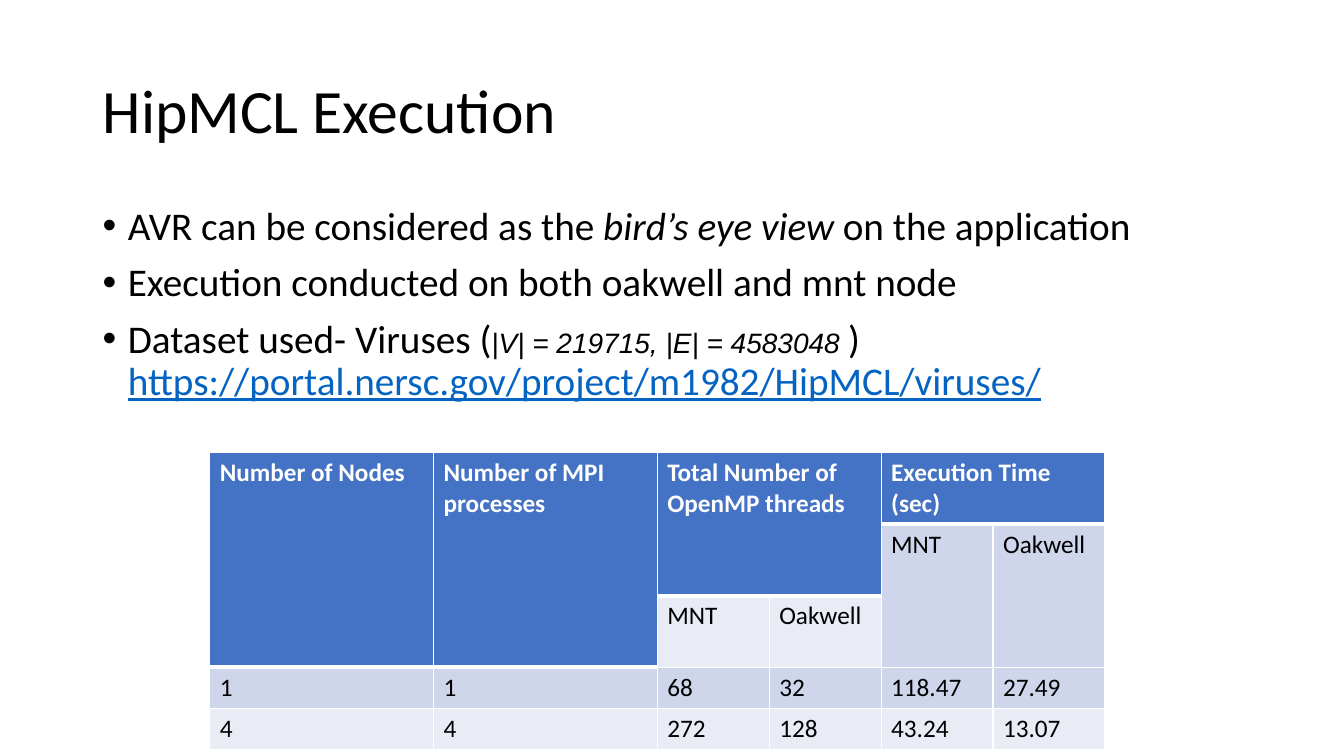
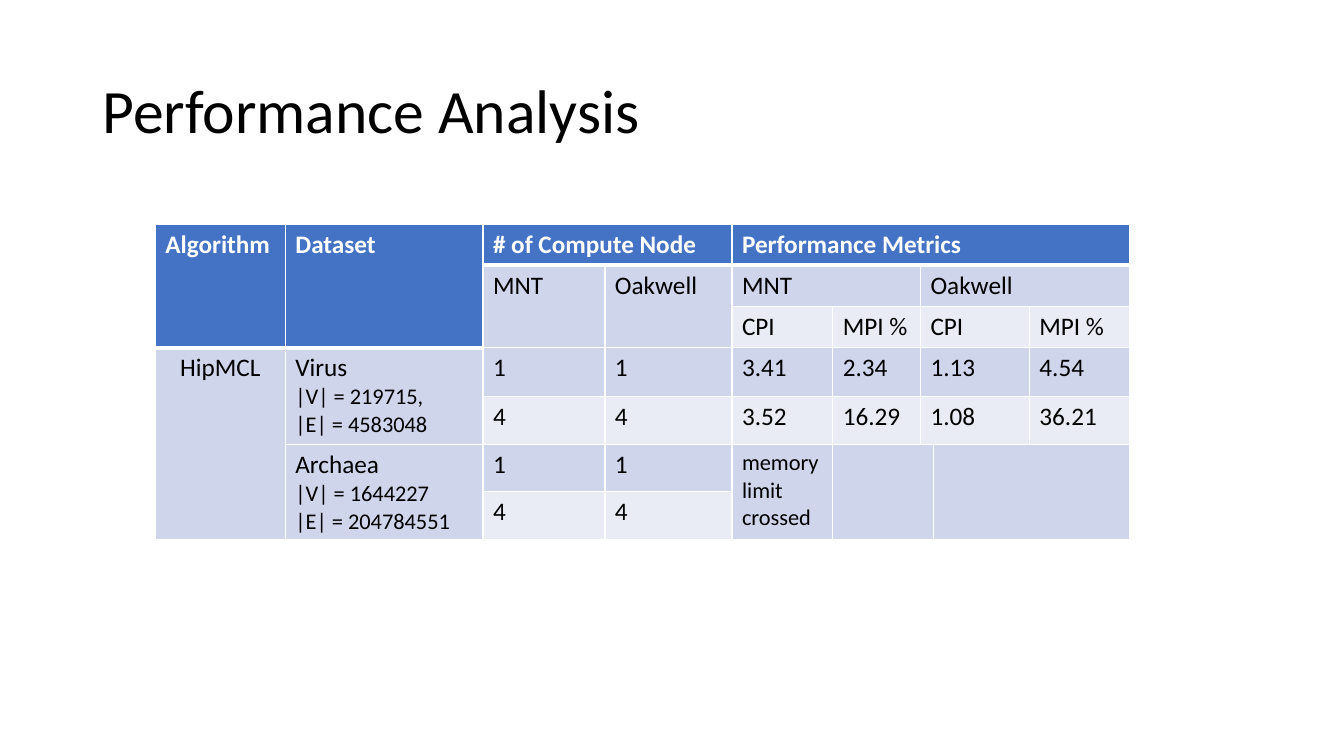
from lxml import etree
from pptx import Presentation
from pptx.dml.color import RGBColor
from pptx.enum.text import MSO_ANCHOR, PP_ALIGN
from pptx.oxml.ns import qn
from pptx.util import Inches, Pt

MIDDLE = MSO_ANCHOR.MIDDLE
CENTER = PP_ALIGN.CENTER
LEFT = PP_ALIGN.LEFT

THEME = {
    "ink": "000000", "paper": "FFFFFF", "head": "4472C4", "link": "0563C1",
    "bands": ("E9EBF5", "CFD5EA"),
    "font": "Calibri", "math": "Arial",
    "title": 44, "body": 28, "formula": 20, "cell": 18, "small": 16,
    "rule": 1, "thick": 3,
}

BULLETS = [
    [("AVR can be considered as the ", "plain"),
     ("bird’s eye view", "stress"),
     (" on the application", "plain")],
    [("Execution conducted on both oakwell and mnt node", "plain")],
    [("Dataset used- Viruses (", "plain"),
     ("|V| = 219715, |E| = 4583048 ", "formula"),
     (") ", "plain"),
     ("https://portal.nersc.gov/project/m1982/HipMCL/viruses/", "link")],
]
STYLES = {
    "plain": {},
    "stress": {"italic": True},
    "formula": {"size": THEME["formula"], "name": THEME["math"], "italic": True},
    "link": {"color": THEME["link"], "underline": True},
}

UP, BACK = "^", "<"
TIMES = {
    "at": (2.08, 4.49),
    "cols": [2.22] * 2 + [1.11] * 4,
    "rows": [0.71] * 3 + [0.41] * 2,
    "cells": [
        ["Number of Nodes", "Number of MPI processes",
         "Total Number of OpenMP threads", BACK, "Execution Time (sec)", BACK],
        [UP, UP, UP, BACK, "MNT", "Oakwell"],
        [UP, UP, "MNT", "Oakwell", UP, UP],
        ["1", "1", "68", "32", "118.47", "27.49"],
        ["4", "4", "272", "128", "43.24", "13.07"],
    ],
}
METRICS = {
    "at": (1.54, 2.23),
    "cols": [1.29, 1.96, 1.21, 1.26, 1, 0.87, 0.13, 0.95, 0.99],
    "rows": [0.4, 0.41, 0.41, 0.48, 0.48, 0.47, 0.47],
    "cells": [
        ["Algorithm", "Dataset", "# of Compute Node", BACK,
         "Performance Metrics", BACK, BACK, BACK, BACK],
        [UP, UP, "MNT", "Oakwell", "MNT", BACK, "Oakwell", BACK, BACK],
        [UP, UP, UP, UP, "CPI", "MPI %", "CPI", BACK, "MPI %"],
        ["HipMCL", "Virus\n|V| = 219715,\n|E| = 4583048",
         "1", "1", "3.41", "2.34", "1.13", BACK, "4.54"],
        [UP, UP, "4", "4", "3.52", "16.29", "1.08", BACK, "36.21"],
        [UP, "Archaea\n|V| = 1644227\n|E| = 204784551",
         "1", "1", "memory limit crossed", "", BACK, "", BACK],
        [UP, UP, "4", "4", UP, UP, BACK, UP, BACK],
    ],
}
CENTERED = {"HipMCL"}
NOTES = {"memory limit crossed"}
SLIDES = [
    {"title": "HipMCL Execution", "bullets": BULLETS, "table": TIMES},
    {"title": "Performance Analysis", "bullets": [], "table": METRICS},
]


def style(font, **over):
    look = {"name": THEME["font"], "color": THEME["ink"], **over}
    font.color.rgb = RGBColor.from_string(look.pop("color"))
    look["size"] = Pt(look["size"])
    for key, value in look.items():
        setattr(font, key, value)


def add_run(para, text, **over):
    run = para.add_run()
    run.text = text
    style(run.font, **over)


def add_box(slide, *place):
    frame = slide.shapes.add_textbox(*map(Inches, place)).text_frame
    frame.word_wrap = True
    return frame


def add_title(slide, text):
    frame = add_box(slide, 0.92, 0.4, 11.5, 1.45)
    frame.vertical_anchor = MIDDLE
    para = frame.paragraphs[0]
    para.line_spacing = 0.9
    add_run(para, text, size=THEME["title"])


def add_bullets(slide, items):
    frame = add_box(slide, 0.92, 2, 11.5, 4.76)
    for i, runs in enumerate(items):
        para = frame.add_paragraph() if i else frame.paragraphs[0]
        props = para._p.get_or_add_pPr()
        props.set("marL", str(Inches(0.25)))
        props.set("indent", str(Inches(-0.25)))
        etree.SubElement(props, qn("a:buFont"), typeface="Arial")
        etree.SubElement(props, qn("a:buChar"), char="•")
        para.line_spacing = 0.9
        if i:
            para.space_before = Pt(10)
        for text, kind in runs:
            add_run(para, text, **{"size": THEME["body"], **STYLES[kind]})


def paint(cell, fill, base):
    props = cell._tc.get_or_add_tcPr()
    for side in "LRTB":
        width = base if side == "B" else THEME["rule"]
        line = etree.SubElement(props, qn("a:ln" + side), w=str(Pt(width)))
        solid = etree.SubElement(line, qn("a:solidFill"))
        etree.SubElement(solid, qn("a:srgbClr"), val=THEME["paper"])
    cell.fill.solid()
    cell.fill.fore_color.rgb = RGBColor.from_string(fill)


def write(cell, text, head):
    frame = cell.text_frame
    for i, line in enumerate(text.split("\n")):
        para = frame.add_paragraph() if i else frame.paragraphs[0]
        para.alignment = CENTER if text in CENTERED else LEFT
        small = i > 0 or text in NOTES
        if line:
            add_run(para, line, bold=head,
                    size=THEME["small" if small else "cell"],
                    color=THEME["paper" if head else "ink"])


def count(marks, sign):
    total = 0
    while total < len(marks) and marks[total] == sign:
        total += 1
    return total


def add_table(slide, data):
    rows, cols, cells = data["rows"], data["cols"], data["cells"]
    place = (*data["at"], sum(cols), sum(rows))
    table = slide.shapes.add_table(len(rows), len(cols), *map(Inches, place)).table
    for col, width in zip(table.columns, cols):
        col.width = Inches(width)
    for row, height in zip(table.rows, rows):
        row.height = Inches(height)
    for r, line in enumerate(cells):
        for c, text in enumerate(line):
            if text in (UP, BACK):
                continue
            head = r == 0
            fill = THEME["head"] if head else THEME["bands"][r % 2]
            low = r + count([other[c] for other in cells[r + 1:]], UP)
            right = c + count(line[c + 1:], BACK)
            for y in range(r, low + 1):
                for x in range(c, right + 1):
                    paint(table.cell(y, x), fill, THEME["thick" if head else "rule"])
            cell = table.cell(r, c)
            if (low, right) != (r, c):
                cell.merge(table.cell(low, right))
            write(cell, text, head)


def main():
    deck = Presentation()
    deck.slide_width, deck.slide_height = Inches(13.33), Inches(7.5)
    for page in SLIDES:
        slide = deck.slides.add_slide(deck.slide_layouts[6])
        add_title(slide, page["title"])
        if page["bullets"]:
            add_bullets(slide, page["bullets"])
        add_table(slide, page["table"])
    deck.save("out.pptx")


if __name__ == "__main__":
    main()
